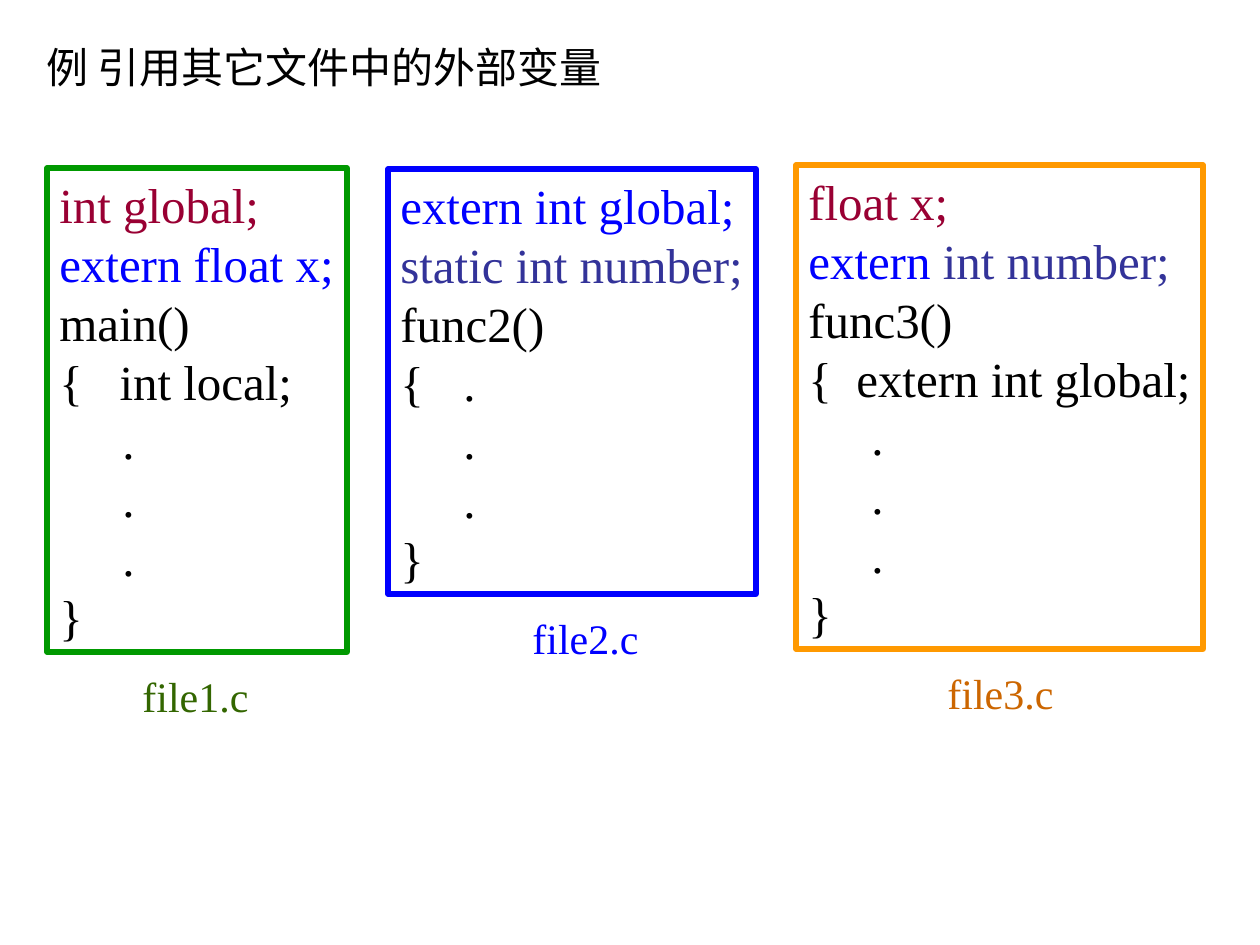
from pptx import Presentation
from pptx.dml.color import RGBColor
from pptx.enum.shapes import MSO_SHAPE
from pptx.enum.text import MSO_ANCHOR, PP_ALIGN
from pptx.util import Emu, Inches, Pt

FONT = "Times New Roman"
COLORS = {
    "black": "000000", "white": "FFFFFF", "red": "990033",
    "blue": "0000FF", "navy": "333399", "green": "009900",
    "orange": "FF9900", "moss": "336600", "brown": "CC6600",
}
DOT = [("\t.", "black")]
END = [("}", "black")]

# name, name colour, name left, frame colour, frame place, code lines
FILES = [
    ("file1.c", "moss", 130, "green", (47, 168, 300, 484), [
        [("int global;", "red")],
        [("extern float x;", "blue")],
        [("main()", "black")],
        [("{   int local;", "black")],
        DOT, DOT, DOT, END]),
    ("file2.c", "blue", 520, "blue", (388, 169, 368, 425), [
        [("extern int global;", "blue")],
        [("static int number;", "navy")],
        [("func2()", "black")],
        [("{\t.", "black")],
        DOT, DOT, END]),
    ("file3.c", "brown", 935, "orange", (796, 165, 407, 484), [
        [("float x;", "red")],
        [("extern ", "blue"), ("int number;", "navy")],
        [("func3()", "black")],
        [("{  extern int global;", "black")],
        DOT, DOT, DOT, END]),
]


def px(n):
    return Emu(round(n * 914400 / 126))


def rgb(name):
    return RGBColor.from_string(COLORS[name])


def write(shape, lines, size=24, align=PP_ALIGN.LEFT,
          anchor=MSO_ANCHOR.MIDDLE, pitch=None):
    """Fill a shape with lines, each a list of (text, colour) runs."""
    frame = shape.text_frame
    frame.word_wrap = False
    frame.vertical_anchor = anchor
    for i, line in enumerate(lines):
        para = frame.paragraphs[0] if i == 0 else frame.add_paragraph()
        para.alignment = align
        if pitch:
            para.line_spacing = Pt(pitch)
        for text, color in line:
            run = para.add_run()
            run.text = text
            run.font.name = FONT
            run.font.size = Pt(size)
            run.font.color.rgb = rgb(color)


def add_title(slide, text):
    title = slide.shapes.title
    title.left, title.top, title.width, title.height = map(px, (34, 35, 581, 63))
    write(title, [[(text, "black")]], anchor=MSO_ANCHOR.TOP)


def add_code(slide, place, edge, lines):
    box = slide.shapes.add_shape(MSO_SHAPE.RECTANGLE, *map(px, place))
    box.shadow.inherit = False
    box.fill.solid()
    box.fill.fore_color.rgb = rgb("white")
    box.line.color.rgb = rgb(edge)
    box.line.width = Pt(3)
    write(box, lines, size=28, pitch=33.6)


def add_label(slide, left, top, text, color):
    box = slide.shapes.add_textbox(*map(px, (left, top, 131, 63)))
    write(box, [[(text, color)]], align=PP_ALIGN.CENTER)


def main():
    deck = Presentation()
    deck.slide_width, deck.slide_height = Inches(10), Inches(7.5)
    slide = deck.slides.add_slide(deck.slide_layouts[5])
    add_title(slide, "例 引用其它文件中的外部变量")
    for name, color, left, edge, place, lines in FILES:
        add_code(slide, place, edge, lines)
        add_label(slide, left, place[1] + place[3] + 12, name, color)
    deck.save("out.pptx")


if __name__ == "__main__":
    main()
